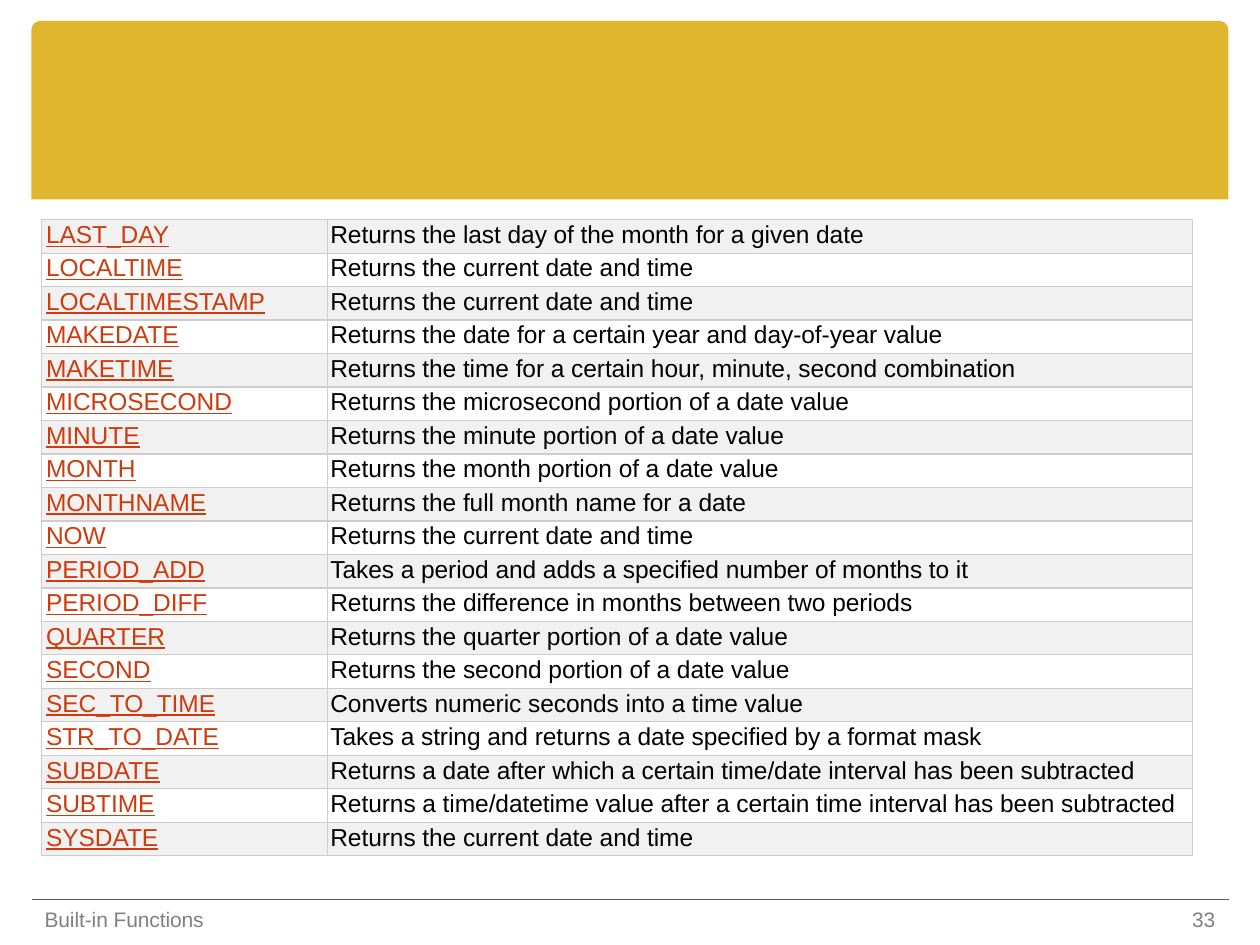
from dataclasses import dataclass

from lxml import etree
from pptx import Presentation
from pptx.dml.color import RGBColor
from pptx.enum.shapes import MSO_CONNECTOR, MSO_SHAPE
from pptx.oxml.ns import qn
from pptx.util import Pt

STRAIGHT = MSO_CONNECTOR.STRAIGHT
TOP_ROUNDED = MSO_SHAPE.ROUND_2_SAME_RECTANGLE
BLANK_LAYOUT = 6


@dataclass(frozen=True)
class Theme:
    """Colours, font and type sizes."""
    font: str = "Arial"
    banner: str = "E0B62E"
    rule: str = "5D5C64"
    border: str = "CDCDCD"
    band: str = "F1F1F1"
    link: str = "CF3B0D"
    body: str = "000000"
    footer: str = "808080"
    body_size: float = 14
    body_leading: float = 16.6
    footer_size: float = 12
    footer_leading: float = 14.2
    tracking: int = -5  # hundredths of a point


class Deck:
    """Holds the theme and the current slide; all lengths are in points."""

    def __init__(self, prs, theme):
        """Add a blank slide to the presentation."""
        self.t = theme
        self.s = prs.slides.add_slide(prs.slide_layouts[BLANK_LAYOUT])

    def set_text(self, tf, text, size, leading, color, indent, underline=False):
        """Put one styled paragraph in a text frame."""
        p = tf.paragraphs[0]
        r = p.add_run()
        r.text = text
        p.line_spacing = Pt(leading)
        p.font.name, p.font.size = self.t.font, Pt(size)
        p.font.color.rgb = RGBColor.from_string(color)
        p.font.underline = underline
        pPr = p._p.get_or_add_pPr()
        pPr.set("marL", str(Pt(indent)))
        pPr.set("indent", "0")
        r._r.get_or_add_rPr().set("spc", str(self.t.tracking))

    def banner(self, x, y, w, h, radius):
        """Draw the filled band with rounded top corners."""
        sp = self.s.shapes.add_shape(TOP_ROUNDED, Pt(x), Pt(y), Pt(w), Pt(h))
        sp.adjustments[0] = radius / h
        sp.shadow.inherit = False
        sp.fill.solid()
        sp.fill.fore_color.rgb = RGBColor.from_string(self.t.banner)
        sp.line.fill.background()

    def rule(self, x, y, w):
        """Draw a thin horizontal line."""
        c = self.s.shapes.add_connector(STRAIGHT, Pt(x), Pt(y), Pt(x + w), Pt(y))
        c.line.color.rgb = RGBColor.from_string(self.t.rule)
        c.line.width = Pt(1)
        etree.SubElement(c._element.spPr, qn("a:effectLst"))

    def footer(self, text, x, y, w, h, indent):
        """Add a footer text box."""
        tf = self.s.shapes.add_textbox(Pt(x), Pt(y), Pt(w), Pt(h)).text_frame
        tf.word_wrap = True
        tf.margin_left = tf.margin_right = tf.margin_top = tf.margin_bottom = 0
        self.set_text(tf, text, self.t.footer_size, self.t.footer_leading,
                      self.t.footer, indent)

    def borders(self, cell, width=0.75):
        """Outline all four sides of a cell."""
        tcPr = cell._tc.get_or_add_tcPr()
        for i, side in enumerate(("lnL", "lnR", "lnT", "lnB")):
            ln = etree.Element(qn(f"a:{side}"), w=str(Pt(width)))
            fill = etree.SubElement(ln, qn("a:solidFill"))
            etree.SubElement(fill, qn("a:srgbClr"), val=self.t.border)
            tcPr.insert(i, ln)

    def table(self, rows, x, y, widths, row_h):
        """Add a banded table of function names and descriptions."""
        tbl = self.s.shapes.add_table(
            len(rows), len(widths), Pt(x), Pt(y),
            Pt(sum(widths)), Pt(row_h * len(rows))).table
        tbl.first_row = tbl.horz_banding = False
        for col, w in zip(tbl.columns, widths):
            col.width = Pt(w)
        styles = ((self.t.link, 2.5, True), (self.t.body, 1.5, False))
        for i, row in enumerate(rows):
            tbl.rows[i].height = Pt(row_h)
            for j, (text, style) in enumerate(zip(row, styles)):
                cell = tbl.cell(i, j)
                cell.margin_left = cell.margin_right = 0
                cell.margin_top = cell.margin_bottom = 0
                if i % 2:
                    cell.fill.background()
                else:
                    cell.fill.solid()
                    cell.fill.fore_color.rgb = RGBColor.from_string(self.t.band)
                self.borders(cell)
                self.set_text(cell.text_frame, text, self.t.body_size,
                              self.t.body_leading, *style)


FUNCTIONS = (
    ("LAST_DAY", "Returns the last day of the month for a given date"),
    ("LOCALTIME", "Returns the current date and time"),
    ("LOCALTIMESTAMP", "Returns the current date and time"),
    ("MAKEDATE", "Returns the date for a certain year and day-of-year value"),
    ("MAKETIME", "Returns the time for a certain hour, minute, second combination"),
    ("MICROSECOND", "Returns the microsecond portion of a date value"),
    ("MINUTE", "Returns the minute portion of a date value"),
    ("MONTH", "Returns the month portion of a date value"),
    ("MONTHNAME", "Returns the full month name for a date"),
    ("NOW", "Returns the current date and time"),
    ("PERIOD_ADD", "Takes a period and adds a specified number of months to it"),
    ("PERIOD_DIFF", "Returns the difference in months between two periods"),
    ("QUARTER", "Returns the quarter portion of a date value"),
    ("SECOND", "Returns the second portion of a date value"),
    ("SEC_TO_TIME", "Converts numeric seconds into a time value"),
    ("STR_TO_DATE", "Takes a string and returns a date specified by a format mask"),
    ("SUBDATE", "Returns a date after which a certain time/date interval "
                "has been subtracted"),
    ("SUBTIME", "Returns a time/datetime value after a certain time interval "
                "has been subtracted"),
    ("SYSDATE", "Returns the current date and time"),
)


def main():
    """Build and save the slide."""
    prs = Presentation()
    prs.slide_width, prs.slide_height = Pt(720), Pt(540)
    deck = Deck(prs, Theme())
    deck.banner(18, 12, 684, 102, radius=5)
    deck.rule(18, 514, 684)
    deck.table(FUNCTIONS, 23.8, 125.5, (163.5, 494), row_h=19.14)
    deck.footer("Built-in Functions", 24.5, 518.4, 93.6, 15, indent=1)
    deck.footer("33", 678.2, 518.4, 19.4, 15, indent=3)
    prs.save("out.pptx")


main()
